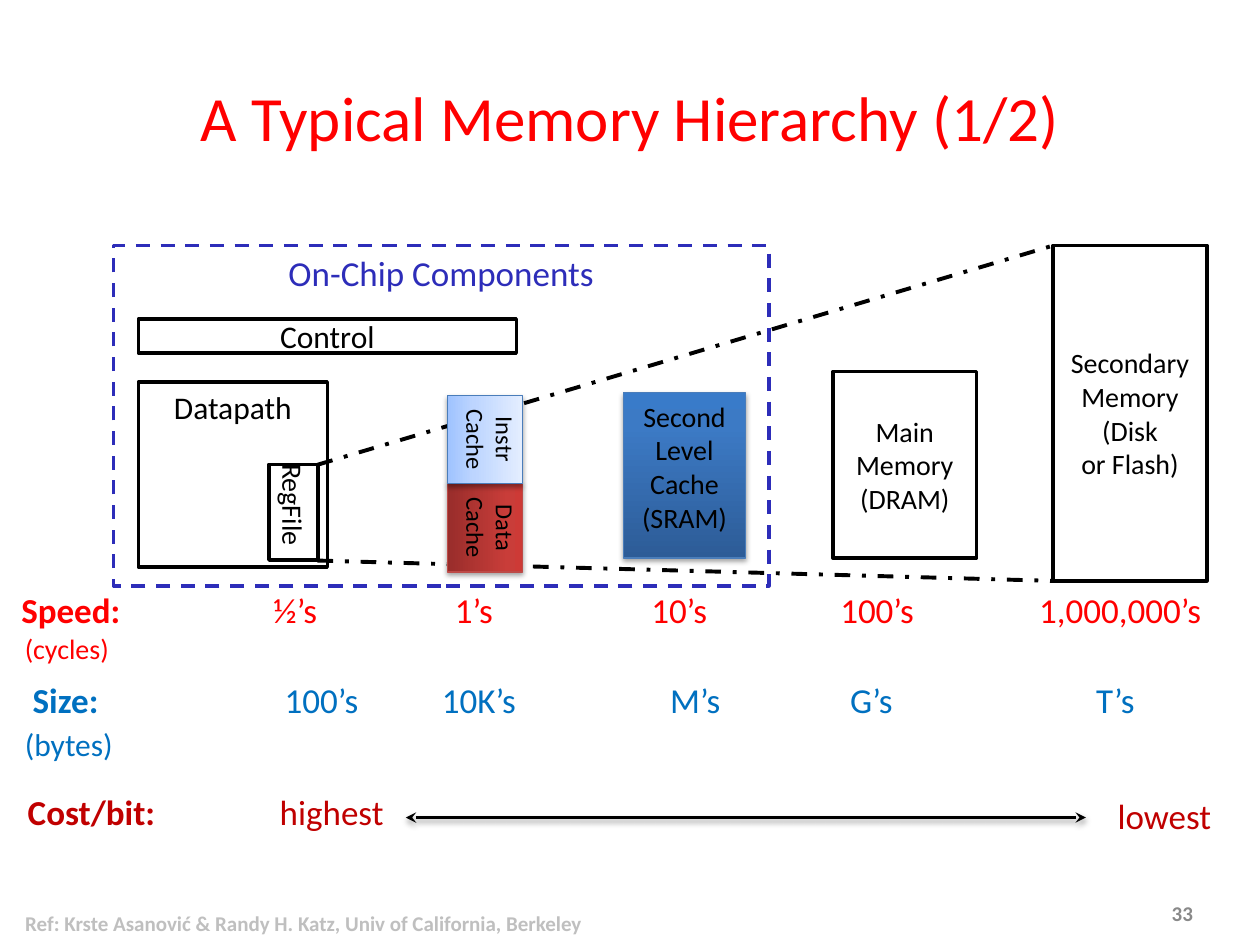
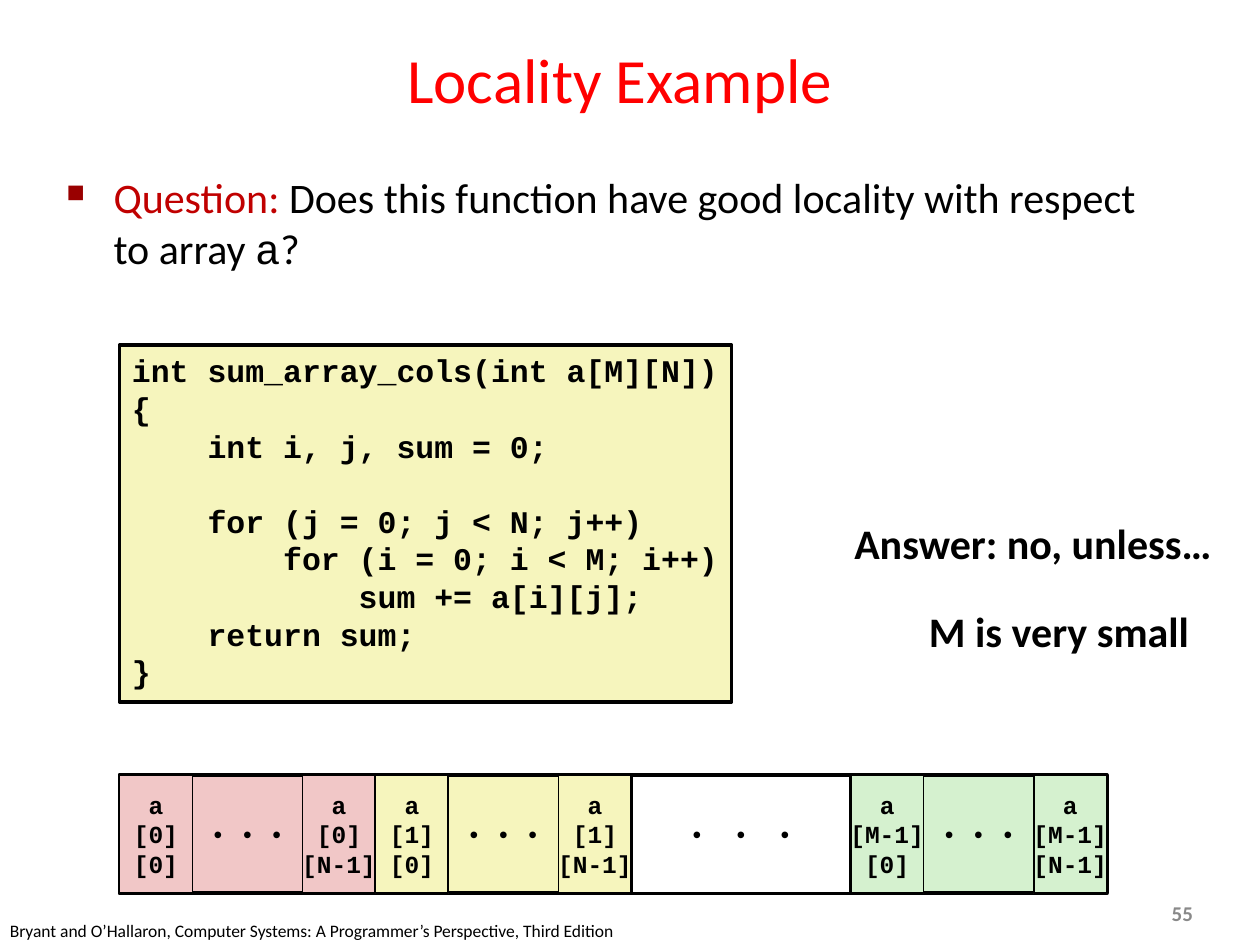
import pptx
import pptx.util
import pptx.dml.color
import pptx.enum.dml
import pptx.enum.shapes
import pptx.enum.text
import pptx.oxml.ns
import lxml.etree

Cm, Pt = pptx.util.Cm, pptx.util.Pt
RGBColor = pptx.dml.color.RGBColor
Align = pptx.enum.text.PP_ALIGN
Anchor = pptx.enum.text.MSO_ANCHOR
Dash = pptx.enum.dml.MSO_LINE
Kind = pptx.enum.shapes.MSO_SHAPE
qn = pptx.oxml.ns.qn
sub = lxml.etree.SubElement

BLACK = RGBColor(0, 0, 0)
WHITE = RGBColor(255, 255, 255)
RED = RGBColor(0xFF, 0, 0)
CRIMSON = RGBColor(0xC0, 0, 0)
BLUE = RGBColor(0, 0x70, 0xC0)
INDIGO = RGBColor(0x2D, 0x2D, 0xB9)
STEEL = RGBColor(0x4A, 0x7D, 0xBA)
BRICK = RGBColor(0xBD, 0x4B, 0x48)
GRAY = RGBColor(0x89, 0x89, 0x89)
SILVER = RGBColor(0xBF, 0xBF, 0xBF)
PINK = RGBColor(0xF1, 0xC7, 0xC7)
CREAM = RGBColor(0xF6, 0xF5, 0xBD)
MINT = RGBColor(0xD5, 0xF1, 0xCF)
SANS, MONO = "Calibri", "Courier New"


def box(page, place, lines, size=16, tint=BLACK, bold=False, font=SANS,
        fill=None, edge=None, thick=2, align=Align.CENTER,
        anchor=Anchor.TOP, pad=(0.25, 0.13), wrap=True, turn=0):
    """Add a rectangle if it has an edge, else a text box; one paragraph a line."""
    area = [Cm(n) for n in place]
    if edge is None:
        shape = page.shapes.add_textbox(*area)
    else:
        shape = page.shapes.add_shape(Kind.RECTANGLE, *area)
        shape.shadow.inherit = False
        shape.line.color.rgb = edge
        shape.line.width = Pt(thick)
        if fill is None:
            shape.fill.background()
        else:
            shape.fill.solid()
            shape.fill.fore_color.rgb = fill
    shape.rotation = turn
    frame = shape.text_frame
    frame.word_wrap = wrap
    frame.vertical_anchor = anchor
    frame.margin_left = frame.margin_right = Cm(pad[0])
    frame.margin_top = frame.margin_bottom = Cm(pad[1])
    for i, line in enumerate(lines):
        para = frame.paragraphs[0] if i == 0 else frame.add_paragraph()
        para.alignment = align
        say(para, line, size, tint, bold, font)
    return shape


def say(para, text, size, tint, bold=False, font=SANS):
    """Add one styled run."""
    run = para.add_run()
    run.text = text
    run.font.size = Pt(size)
    run.font.name = font
    run.font.bold = bold
    run.font.color.rgb = tint
    return run


deck = pptx.Presentation()
deck.slide_width, deck.slide_height = Cm(25.4), Cm(19.05)
pages = []
for title, place, number in [
    ("A Typical Memory Hierarchy (1/2)", (1.27, 0.76, 22.86, 3.18), "33"),
    ("Locality Example", (1.09, 0.53, 22.81, 2.11), "55"),
]:
    page = deck.slides.add_slide(deck.slide_layouts[6])
    box(page, place, [title], 36, RED, anchor=Anchor.MIDDLE)
    box(page, (23.37, 18.03, 1.02, 0.76), [number], 12, GRAY, True,
        align=Align.LEFT, anchor=Anchor.MIDDLE, wrap=False)
    pages.append(page)
chart, code = pages

# Slide 1: chip and memory blocks
chip = box(chart, (2.29, 4.95, 13.21, 6.86), ["On-Chip Components"], 20, INDIGO,
           edge=INDIGO)
chip.line.dash_style = Dash.DASH
box(chart, (2.79, 6.43, 7.62, 0.69), ["Control"], 18, edge=BLACK,
    anchor=Anchor.MIDDLE)
box(chart, (2.79, 7.7, 3.81, 3.73), ["Datapath"], 18, edge=BLACK)
box(chart, (21.23, 4.95, 3.1, 6.76), ["Secondary", "Memory", "(Disk", "or Flash)"],
    edge=BLACK, anchor=Anchor.MIDDLE)

# Dash-dot guides and the cost arrow
for x1, y1, x2, y2, arrow in [
    (6.4, 9.37, 21.23, 4.95, False),
    (6.4, 11.3, 21.23, 11.71, False),
    (8.18, 16.48, 21.89, 16.48, True),
]:
    wire = chart.shapes.add_connector(
        pptx.enum.shapes.MSO_CONNECTOR.STRAIGHT, Cm(x1), Cm(y1), Cm(x2), Cm(y2))
    wire.line.color.rgb = BLACK
    wire.line.width = Pt(2 if arrow else 2.25)
    props = wire._element.spPr
    if arrow:
        for end in ("a:headEnd", "a:tailEnd"):
            sub(props.find(qn("a:ln")), qn(end), type="stealth")
    else:
        wire.line.dash_style = Dash.DASH_DOT
    sub(props, qn("a:effectLst"))
shaded = [wire]

box(chart, (4.95, 9.83, 1.93, 0.99), ["RegFile"], edge=BLACK, align=Align.LEFT,
    anchor=Anchor.MIDDLE, pad=(0, 0), turn=90)
box(chart, (16.79, 7.49, 2.9, 3.76), ["Main", "Memory", "(DRAM)"], edge=BLACK,
    anchor=Anchor.MIDDLE)

# Caches, shaded from bottom to top
for place, lines, size, edge, turn, pad, stops in [
    ((12.57, 7.92, 2.46, 3.33), ["Second", "Level", "Cache", "(SRAM)"], 16, STEEL,
     0, (0.25, 0.13), [(0, "2D5C97"), (80, "3C7AC5"), (100, "397BC9")]),
    ((8.89, 9.88, 1.78, 1.52), ["Data", "Cache"], 14, BRICK,
     90, (0, 0.05), [(0, "992D2B"), (80, "C93D39"), (100, "CD3A36")]),
    ((8.89, 8.1, 1.78, 1.52), ["Instr", "Cache"], 14, STEEL,
     90, (0, 0.05), [(0, "9FC3FF"), (35, "BDD5FF"), (100, "E4EEFF")]),
]:
    cache = box(chart, place, lines, size, edge=edge, thick=0.75, pad=pad, turn=turn)
    cache.fill.gradient()
    cache.fill.gradient_angle = 90
    ramp = cache._element.spPr.find(".//" + qn("a:gsLst"))
    for stop in list(ramp):
        ramp.remove(stop)
    for pos, tone in stops:
        stop = sub(ramp, qn("a:gs"), pos=str(pos * 1000))
        sub(stop, qn("a:srgbClr"), val=tone)
    shaded.append(cache)

for shape in shaded:
    glow = sub(shape._element.spPr.find(qn("a:effectLst")), qn("a:outerShdw"),
               blurRad=str(Pt(3.1)), dist=str(Pt(1.7)), dir="5400000",
               rotWithShape="0")
    shade = sub(glow, qn("a:srgbClr"), val="000000")
    sub(shade, qn("a:alpha"), val="36000")

# Rows of figures, set on tab stops
for x, y, tint, label, cells, tabs in [
    (0.25, 11.91, RED, "Speed:", ["½’s", "1’s", "10’s", "100’s", "1,000,000’s"],
     [5.08, 8.74, 12.7, 16.51, 20.52]),
    (0.48, 13.72, BLUE, "Size:", ["100’s", "10K’s", "M’s", "G’s", "T’s"],
     [5.08, 8.25, 12.85, 16.48, 21.44]),
    (0.38, 15.98, CRIMSON, "Cost/bit:", ["highest"], [5.08]),
]:
    row = box(chart, (x, y, 24.8, 1.02), [label], 20, tint, True,
              align=Align.LEFT, pad=(0.18, 0.08))
    para = row.text_frame.paragraphs[0]
    para.line_spacing = 0.85
    stops = sub(para._p.get_or_add_pPr(), qn("a:tabLst"))
    for tab in tabs:
        sub(stops, qn("a:tab"), pos=str(Cm(tab)), algn="l")
    for cell in cells:
        say(para, "\t" + cell, 20, tint)

for place, text, size, tint in [
    ((0.25, 12.6, 2.79, 1.02), "(cycles)", 16, RED),
    ((0.25, 14.48, 2.79, 1.02), "(bytes)", 18, BLUE),
    ((22.28, 15.88, 2.41, 1.12), "lowest", 20, CRIMSON),
]:
    box(chart, place, [text], size, tint, align=Align.LEFT, wrap=False)
box(chart, (0.08, 18.16, 12.09, 1.02 - 0.13),
    ["Ref: Krste Asanović & Randy H. Katz, Univ of California, Berkeley"],
    12, SILVER, True, anchor=Anchor.MIDDLE)

# Slide 2: question
ask = box(code, (1.09, 3.33, 22.81, 2.6), [], align=Align.LEFT)
para = ask.text_frame.paragraphs[0]
props = para._p.get_or_add_pPr()
props.set("marL", str(Cm(0.95)))
props.set("indent", str(Cm(-0.95)))
sub(sub(props, qn("a:buClr")), qn("a:srgbClr"), val="990000")
sub(props, qn("a:buSzPct"), val="60000")
sub(props, qn("a:buChar"), char="■")
say(para, "Question: ", 24, CRIMSON)
say(para, "Does this function have good locality with respect to array ", 24, BLACK)
say(para, "a", 24, BLACK, font=MONO)
say(para, "?", 24, BLACK)

# Code and answer
lines = [
    "int sum_array_cols(int a[M][N])",
    "{",
    "    int i, j, sum = 0;",
    "    for (j = 0; j < N; j++)",
    "        for (i = 0; i < M; i++)",
    "            sum += a[i][j];",
    "    return sum;",
    "}",
]
panel = box(code, (2.41, 6.96, 12.34, 7.19), lines, 18, bold=True, font=MONO,
            fill=CREAM, edge=BLACK, align=Align.LEFT, wrap=False)
for para in panel.text_frame.paragraphs:
    para.line_spacing = Pt(21.5)
panel.text_frame.paragraphs[3].space_before = Pt(21.5)
box(code, (16.89, 10.31, 7.87, 1.27), ["Answer: no, unless…"], 24, bold=True, wrap=False)
box(code, (18.44, 12.07, 5.82, 1.27), ["M is very small"], 24, bold=True, wrap=False)

# Array in memory: each row has a first cell, dots and a last cell
left, top, high = 2.41, 15.62, 2.39
wide, slim, gap = 5.16, 1.47, 4.42
style = dict(size=14, font=MONO, edge=BLACK, anchor=Anchor.MIDDLE, wrap=False)
for x, row, fill in [
    (left, "[0]", PINK),
    (left + wide, "[1]", CREAM),
    (left + 2 * wide + gap, "[M-1]", MINT),
]:
    box(code, (x, top, wide, high), ["• • •"], fill=fill, thick=2.25, **style)
    for cell, col in [(x, "[0]"), (x + wide - slim, "[N-1]")]:
        box(code, (cell, top, slim, high), ["a", row, col], bold=True, fill=fill,
            thick=1, **style)
rest = box(code, (left + 2 * wide, top, gap, high), ["• • •"], fill=WHITE, **style)
rest.text_frame.paragraphs[0].runs[0].font._element.set("spc", "420")

box(code, (0, 18.42, 12.9, 0.63),
    ["Bryant and O’Hallaron, Computer Systems: A Programmer’s Perspective, Third Edition"],
    10, align=Align.LEFT, pad=(0.2, 0.13), wrap=False)

deck.save("out.pptx")
